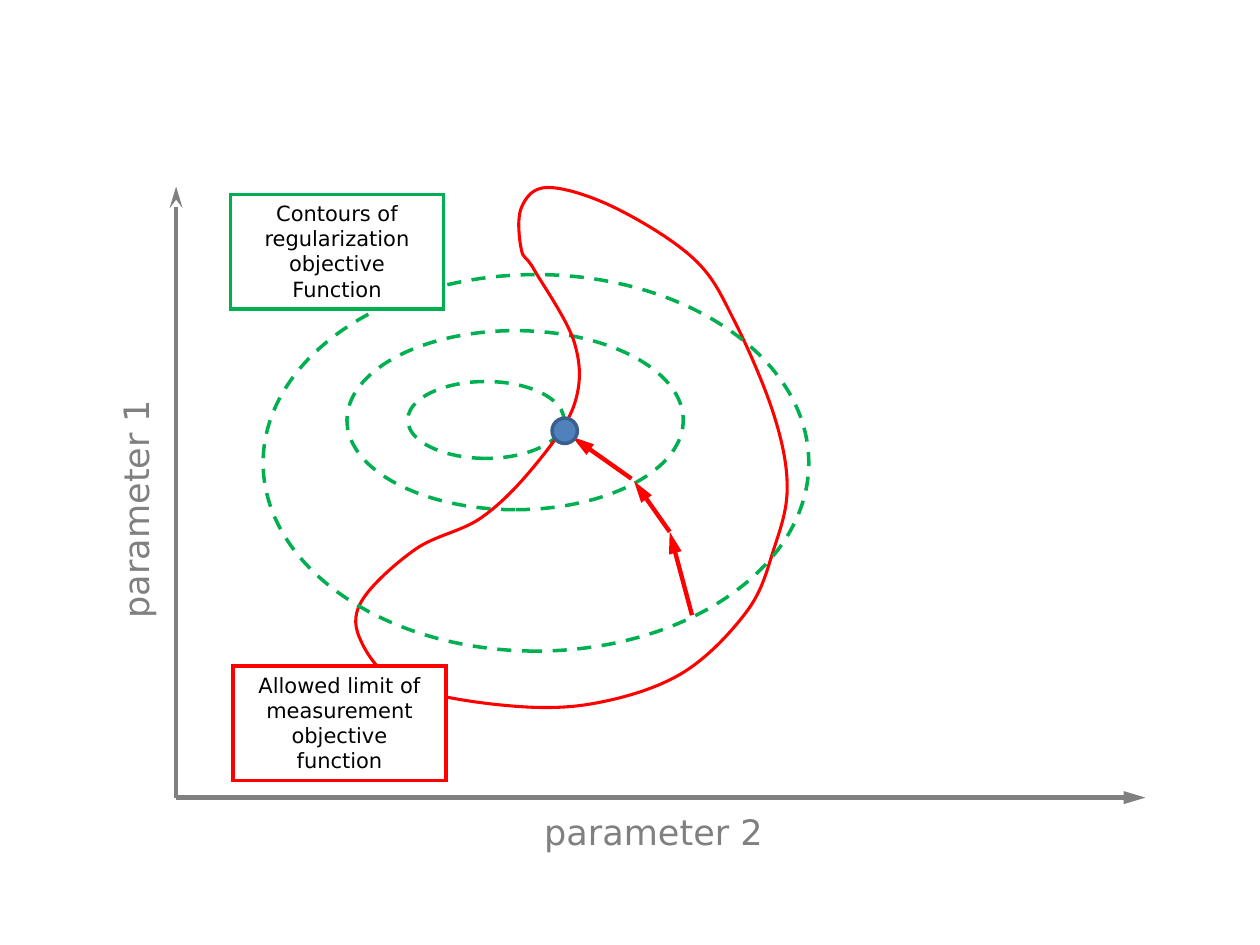
"""Build a slide showing regularized optimisation steps between two parameters."""
from lxml import etree
from pptx import Presentation
from pptx import util as u
from pptx.dml.color import RGBColor
from pptx.enum import dml, shapes, text
from pptx.oxml.ns import qn

COLORS = {"axis": "808080", "contour": "00B050", "limit": "FF0000",
          "dot": "4F81BD", "dot_edge": "3A5F8C", "text": "000000", "paper": "FFFFFF"}
FONT = "DejaVu Sans"
ORIGIN = (3.55, 16.08)
AXES = [((3.55, 3.76), "stealth"), ((23.09, 16.08), "triangle")]
AXIS_LABELS = [("parameter 2", (7.7, 16.21), 0), ("parameter 1", (-2.74, 9.7), 270)]
LABEL_SIZE = (10.95, 1.12)
INNER_CONTOURS = [(8.58, 5.08, 3.61, 6.78), (9.02, 6.89, 1.55, 3.15)]
OUTER_CONTOUR = (7.01, 3.83, 7.59, 11)
OPTIMUM = (11.13, 8.43, 0.51, 0.51)
LIMIT_FRAME = (7.11, 3.78, 8.76, 10.54)
LIMIT_POINTS = [
    (10.77, 5.44), (11.58, 6.91), (11.58, 8.15), (10.77, 9.4), (9.7, 10.44),
    (8.38, 11.07), (7.29, 12.12), (7.29, 12.95), (8.1, 13.79), (9.98, 14.2),
    (11.86, 14.2), (13.72, 13.59), (15.06, 12.32), (15.6, 11.07), (15.87, 9.83),
    (15.6, 8.36), (14.81, 6.48), (14, 5.23), (12.4, 4.19), (11.05, 3.78),
    (10.51, 4.19), (10.51, 5.03)]
SEARCH_STEPS = [((13.95, 12.4), (13.5, 10.72)), ((13.5, 10.72), (12.78, 9.7)),
                ((12.73, 9.65), (11.54, 8.81))]
LEGENDS = [("Contours of regularization objective Function", (4.65, 3.92), "contour"),
           ("Allowed limit of measurement objective function", (4.7, 13.43), "limit")]
LEGEND_SIZE = (4.29, 2.31)


def rgb(name):
    return RGBColor.from_string(COLORS[name])


def style(shape, fill=None, line=None, width=2, dashed=False):
    shape.shadow.inherit = False
    for part, color in ((shape.fill, fill), (shape.line.fill, line)):
        if color:
            part.solid()
            part.fore_color.rgb = rgb(color)
        else:
            part.background()
    if line:
        shape.line.width = u.Pt(width)
    if dashed:
        shape.line.dash_style = dml.MSO_LINE.DASH


def add_preset(slide, kind, box, rotation=0, **look):
    shape = slide.shapes.add_shape(kind, *map(u.Cm, box))
    shape.rotation = rotation
    style(shape, **look)
    return shape


def add_contour(slide, box):
    add_preset(slide, shapes.MSO_SHAPE.OVAL, box, 270, line="contour", dashed=True)


def add_label(slide, words, position, size, points, color, rotation=0, line=None):
    shape = add_preset(slide, shapes.MSO_SHAPE.RECTANGLE, position + size, rotation,
                       fill="paper", line=line)
    if line:
        outline = shape.element.spPr.find(qn("a:ln"))
        etree.SubElement(outline, qn("a:miter"), lim="800000")
    frame = shape.text_frame
    frame.word_wrap = True
    frame.auto_size = text.MSO_AUTO_SIZE.SHAPE_TO_FIT_TEXT
    frame.vertical_anchor = text.MSO_ANCHOR.TOP
    paragraph = frame.paragraphs[0]
    paragraph.text = words
    paragraph.alignment = text.PP_ALIGN.CENTER
    paragraph.font.name = FONT
    paragraph.font.size = u.Pt(points)
    paragraph.font.color.rgb = rgb(color)


def add_arrow(slide, start, end, color, head="triangle"):
    arrow = slide.shapes.add_connector(shapes.MSO_CONNECTOR.STRAIGHT,
                                       *map(u.Cm, start + end))
    arrow.line.color.rgb = rgb(color)
    arrow.line.width = u.Pt(2.5)
    properties = arrow.element.spPr
    etree.SubElement(properties.find(qn("a:ln")), qn("a:tailEnd"), type=head, len="lg")
    etree.SubElement(properties, qn("a:effectLst"))


def smooth_segments(points):
    """Return Bezier control and end points of a closed Catmull-Rom spline."""
    count = len(points)
    segments = []
    for index in range(count):
        near = [points[(index + offset) % count] for offset in (-1, 0, 1, 2)]
        first, second, end = zip(*[(b + (c - a) / 6, c - (d - b) / 6, c)
                                   for a, b, c, d in zip(*near)])
        segments.append((first, second, end))
    return segments


def add_limit(slide):
    left, top, width, height = map(u.Cm, LIMIT_FRAME)
    builder = slide.shapes.build_freeform(left, top)
    builder.add_line_segments([(left + width, top + height)])
    shape = builder.convert_to_shape()
    style(shape, line="limit", width=1.75)
    outline = next(shape.element.iter(qn("a:path")))
    for child in list(outline):
        outline.remove(child)
    commands = [("a:moveTo", LIMIT_POINTS[:1])]
    commands += [("a:cubicBezTo", segment) for segment in smooth_segments(LIMIT_POINTS)]
    for command, points in commands:
        node = etree.SubElement(outline, qn(command))
        for x, y in points:
            etree.SubElement(node, qn("a:pt"), x=str(u.Cm(x) - left), y=str(u.Cm(y) - top))
    etree.SubElement(outline, qn("a:close"))


def main():
    presentation = Presentation()
    presentation.slide_width, presentation.slide_height = u.Cm(25.4), u.Cm(19.05)
    slide = presentation.slides.add_slide(presentation.slide_layouts[6])
    for end, head in AXES:
        add_arrow(slide, ORIGIN, end, "axis", head)
    (words, position, rotation), vertical_label = AXIS_LABELS
    add_label(slide, words, position, LABEL_SIZE, 20, "axis", rotation)
    for box in INNER_CONTOURS:
        add_contour(slide, box)
    *early_steps, last_step = SEARCH_STEPS
    add_arrow(slide, *last_step, "limit")
    add_limit(slide)
    add_preset(slide, shapes.MSO_SHAPE.OVAL, OPTIMUM, fill="dot", line="dot_edge")
    add_contour(slide, OUTER_CONTOUR)
    for start, end in reversed(early_steps):
        add_arrow(slide, start, end, "limit")
    for words, position, line in LEGENDS:
        add_label(slide, words, position, LEGEND_SIZE, 12, "text", line=line)
    words, position, rotation = vertical_label
    add_label(slide, words, position, LABEL_SIZE, 20, "axis", rotation)
    presentation.save("out.pptx")


if __name__ == "__main__":
    main()
